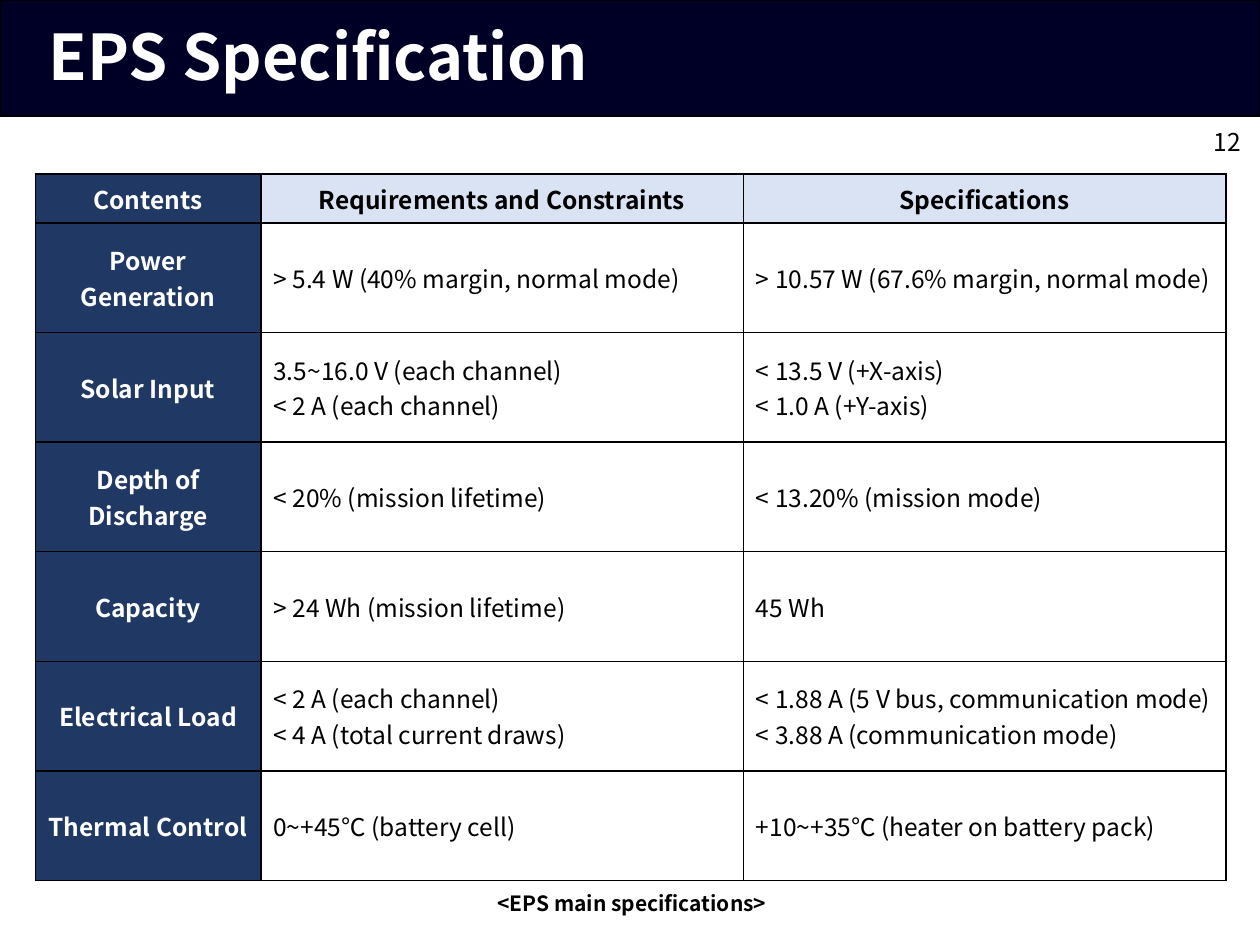
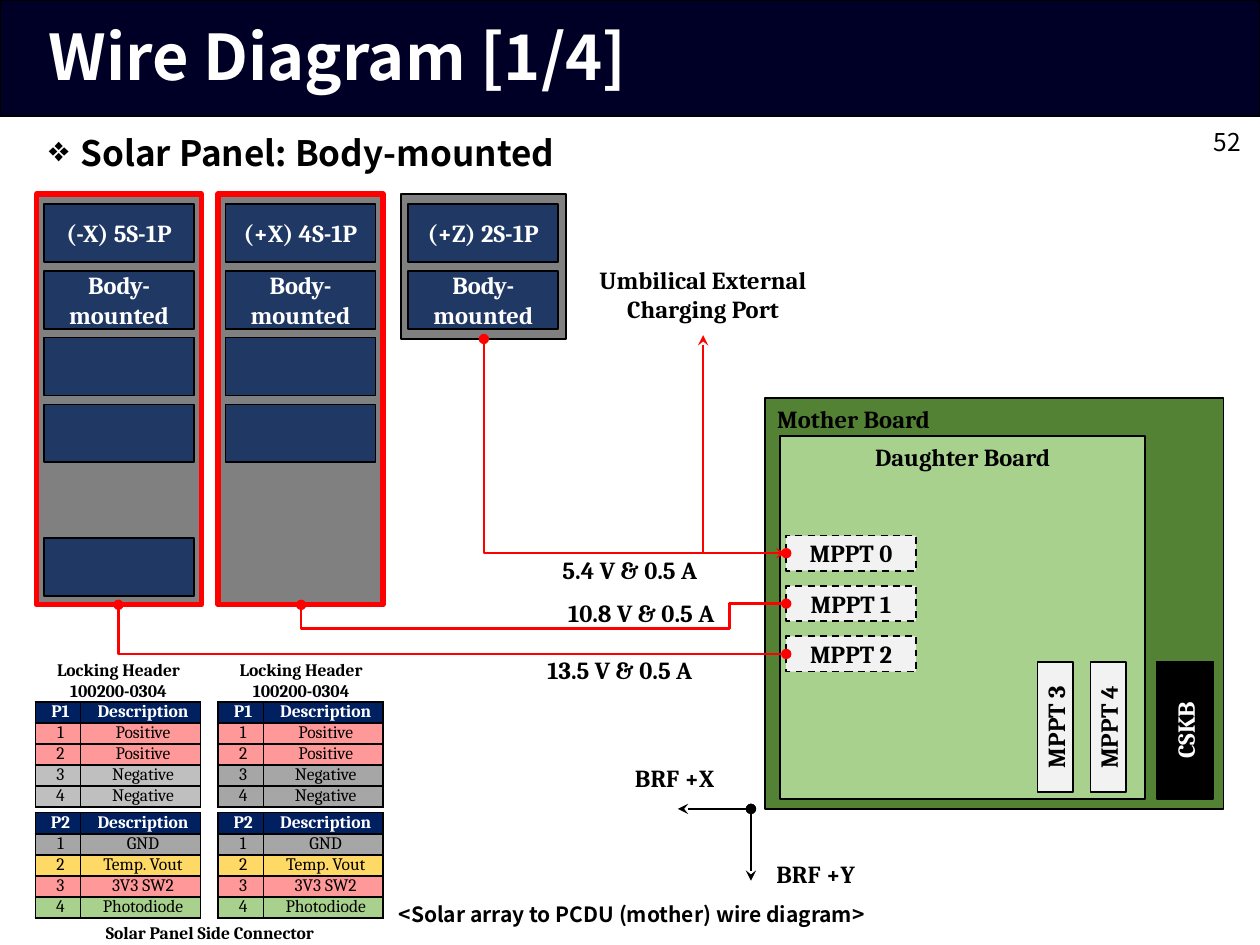
from lxml import etree
from pptx import Presentation
from pptx.dml.color import RGBColor
from pptx.enum.dml import MSO_LINE
from pptx.enum.shapes import MSO_CONNECTOR, MSO_SHAPE
from pptx.enum.text import MSO_ANCHOR, PP_ALIGN
from pptx.oxml.ns import qn
from pptx.util import Inches, Pt

LEFT, CENTER, RIGHT = PP_ALIGN.LEFT, PP_ALIGN.CENTER, PP_ALIGN.RIGHT
TOP, MIDDLE = MSO_ANCHOR.TOP, MSO_ANCHOR.MIDDLE
RECTANGLE = MSO_SHAPE.RECTANGLE
STRAIGHT, ELBOW = MSO_CONNECTOR.STRAIGHT, MSO_CONNECTOR.ELBOW
DASH = MSO_LINE.DASH

SANS, SERIF = "Noto Sans CJK KR", "Cambria"
COLORS = {
    "band": "000026", "black": "000000", "white": "FFFFFF",
    "navy": "203864", "pale blue": "DAE3F3", "pin header": "002060",
    "panel": "808080", "red": "FF0000", "chip": "F2F2F2",
    "mother": "548235", "green": "A9D18E", "pink": "FF9999",
    "yellow": "FFD966", "gray": "A6A6A6", "light gray": "BFBFBF",
}

SPECIFICATIONS = [
    ("Contents", "Requirements and Constraints", "Specifications"),
    ("Power Generation", "> 5.4 W (40% margin, normal mode)",
     "> 10.57 W (67.6% margin, normal mode)"),
    ("Solar Input", "3.5~16.0 V (each channel)\n< 2 A (each channel)",
     "< 13.5 V (+X-axis)\n< 1.0 A (+Y-axis)"),
    ("Depth of\nDischarge", "< 20% (mission lifetime)", "< 13.20% (mission mode)"),
    ("Capacity", "> 24 Wh (mission lifetime)", "45 Wh"),
    ("Electrical Load", "< 2 A (each channel)\n< 4 A (total current draws)",
     "< 1.88 A (5 V bus, communication mode)\n< 3.88 A (communication mode)"),
    ("Thermal Control", "0~+45℃ (battery cell)", "+10~+35℃ (heater on battery pack)"),
]
POWER_PINS = ["Positive", "Positive", "Negative", "Negative"]
SIGNAL_PINS = ["GND", "Temp. Vout", "3V3 SW2", "Photodiode"]
SIGNAL_FILLS = ["gray", "yellow", "pink", "green"]


def rgb(name):
    return RGBColor.from_string(COLORS[name])


def write(frame, text, size, color="black", font=SERIF, bold=True,
          align=CENTER, spacing=None):
    frame.text = text
    for para in frame.paragraphs:
        para.alignment = align
        if spacing:
            para.line_spacing = spacing
        for span in para.runs:
            span.font.size = Pt(size)
            span.font.name = font
            span.font.bold = bold
            span.font.color.rgb = rgb(color)


def add_text(page, box, text, size, anchor=MIDDLE, **style):
    shape = page.shapes.add_textbox(*map(Inches, box))
    frame = shape.text_frame
    frame.word_wrap = True
    frame.vertical_anchor = anchor
    write(frame, text, size, **style)
    return frame


def add_block(page, box, fill, text="", color="black", line="black", width=1,
              anchor=MIDDLE, align=CENTER, rotation=0, dash=None):
    block = page.shapes.add_shape(RECTANGLE, *map(Inches, box))
    block.shadow.inherit = False
    block.fill.solid()
    block.fill.fore_color.rgb = rgb(fill)
    block.line.color.rgb = rgb(line)
    block.line.width = Pt(width)
    block.rotation = rotation
    if dash:
        block.line.dash_style = dash
    if text:
        block.text_frame.word_wrap = True
        block.text_frame.vertical_anchor = anchor
        write(block.text_frame, text, 14, color, align=align)


def add_wire(page, kind, start, end, color, head, tail):
    wire = page.shapes.add_connector(kind, *map(Inches, start + end))
    wire.line.color.rgb = rgb(color)
    wire.line.width = Pt(1.5)
    line = wire.line._get_or_add_ln()
    for tag, style in (("a:headEnd", head), ("a:tailEnd", tail)):
        etree.SubElement(line, qn(tag), type=style)
    properties = wire._element.spPr
    etree.SubElement(properties, qn("a:effectLst"))
    return properties


def add_bent_wire(page, source, target, ends="oval", preset="bentConnector2",
                  adjustments=()):
    """Leave the source to the left and reach the target from below."""
    properties = add_wire(page, ELBOW, target, source, "red", ends, ends)
    properties.find(qn("a:xfrm")).set("rot", "10800000")
    geometry = properties.find(qn("a:prstGeom"))
    geometry.set("prst", preset)
    guides = geometry.find(qn("a:avLst"))
    for number, ratio in enumerate(adjustments, 1):
        etree.SubElement(guides, qn("a:gd"), name=f"adj{number}",
                         fmla=f"val {round(ratio * 100000)}")


def add_grid(page, left, top, widths, heights):
    """Add a plain table whose cells all have a thin black border."""
    frame = page.shapes.add_table(
        len(heights), len(widths), Inches(left), Inches(top),
        Inches(sum(widths)), Inches(sum(heights)))
    table = frame.table
    table.first_row = table.horz_banding = False
    for column, width in zip(table.columns, widths):
        column.width = Inches(width)
    for row, height in zip(table.rows, heights):
        row.height = Inches(height)
    for cell in table.iter_cells():
        properties = cell._tc.get_or_add_tcPr()
        for side in "LRTB":
            border = etree.SubElement(properties, qn(f"a:ln{side}"), w=str(Pt(1)))
            fill = etree.SubElement(border, qn("a:solidFill"))
            etree.SubElement(fill, qn("a:srgbClr"), val=COLORS["black"])
    return table


def paint(cell, fill):
    cell.fill.solid()
    cell.fill.fore_color.rgb = rgb(fill)


def add_page(deck, title, number, caption, caption_top):
    page = deck.slides.add_slide(deck.slide_layouts[6])
    add_block(page, (0, 0, 10, 0.92), "band")
    add_text(page, (0.29, 0.03, 9.45, 0.89), title, 36, color="white",
             font=SANS, align=LEFT, spacing=0.9)
    frame = add_text(page, (8.32, 0.93, 1.68, 0.39), number, 14, font=SANS,
                     bold=False, align=RIGHT)
    frame.margin_right = Inches(0.15)
    add_text(page, (0.29, caption_top, 9.45, 0.3), caption, 12, TOP, font=SANS)
    return page


def add_specification_table(page, left, top):
    table = add_grid(page, left, top, [1.79, 3.83, 3.83], [0.39] + [0.87] * 6)
    for r, row in enumerate(SPECIFICATIONS):
        for c, text in enumerate(row):
            cell = table.cell(r, c)
            heading = r == 0 or c == 0
            paint(cell, "navy" if c == 0 else "pale blue" if r == 0 else "white")
            cell.vertical_anchor = MIDDLE
            write(cell.text_frame, text, 14, "white" if c == 0 else "black", SANS,
                  bold=heading, align=CENTER if heading else LEFT)


def add_heading(page, box, text):
    frame = add_text(page, box, text, 20, TOP, font=SANS, align=LEFT, spacing=0.9)
    properties = frame.paragraphs[0]._p.get_or_add_pPr()
    properties.set("marL", str(Inches(0.25)))
    properties.set("indent", str(-Inches(0.25)))
    etree.SubElement(properties, qn("a:buChar"), char="❖")


def add_pin_table(page, left, top, name, pins, fills):
    table = add_grid(page, left, top, [0.36, 0.95], [0.16] * 5)
    rows = [(name, "Description")] + [(str(n), pin) for n, pin in enumerate(pins, 1)]
    for r, (row, fill) in enumerate(zip(rows, ["pin header"] + fills)):
        for c, text in enumerate(row):
            cell = table.cell(r, c)
            paint(cell, fill)
            cell.margin_left = Inches(0.04)
            cell.margin_right = cell.margin_top = cell.margin_bottom = 0
            write(cell.text_frame, text, 10, "black" if r else "white", bold=r == 0)


def add_connector_pinout(page, left, top, negative):
    add_text(page, (left, top, 1.32, 0.32), "Locking Header\n100200-0304", 10)
    add_pin_table(page, left, top + 0.33, "P1", POWER_PINS,
                  ["pink"] * 2 + [negative] * 2)
    add_pin_table(page, left, top + 1.21, "P2", SIGNAL_PINS, SIGNAL_FILLS)


def add_solar_panel(page, left, top, height, name, slots, line="red", width=3):
    """Draw a panel with a solar cell in each of the given slots."""
    add_block(page, (left, top, 1.31, height), "panel", line=line, width=width)
    labels = {0: name, 1: "Body-mounted"}
    for slot in slots:
        add_block(page, (left + 0.06, top + 0.08 + 0.53 * slot, 1.19, 0.46),
                  "navy", labels.get(slot, ""), "white")


def add_boards(page, left, top):
    add_block(page, (left, top, 3.64, 3.26), "mother", "Mother Board",
              anchor=TOP, align=LEFT)
    add_block(page, (left + 0.12, top + 0.3, 2.9, 2.88), "green", "Daughter Board",
              anchor=TOP)
    for channel in range(3):
        add_block(page, (left + 0.17, top + 1.09 + 0.4 * channel, 1.03, 0.28),
                  "chip", f"MPPT {channel}", dash=DASH)
    for index in range(2):
        add_block(page, (left + 1.79 + 0.42 * index, top + 2.47, 1.03, 0.28),
                  "chip", f"MPPT {index + 3}", rotation=270)
    add_block(page, (left + 2.79, top + 2.41, 1.09, 0.45), "black", "CSKB", "white",
              rotation=270)


def add_wiring(page):
    port_x = 6.24
    add_bent_wire(page, (port_x, 5.19), (0.94, 4.8))
    add_bent_wire(page, (port_x, 4.39), (3.84, 2.69))
    add_bent_wire(page, (port_x, 4.39), (5.58, 2.66), "stealth")
    add_bent_wire(page, (port_x, 4.79), (2.39, 4.8), preset="bentConnector4",
                  adjustments=(0.117, 20))
    for box, text in (
        ((3.77, 5.2, 2.3, 0.23), "13.5 V & 0.5 A"),
        ((3.85, 4.39, 2.3, 0.27), "5.4 V & 0.5 A"),
        ((3.94, 4.74, 2.3, 0.25), "10.8 V & 0.5 A"),
        ((4.65, 2.01, 1.86, 0.65), "Umbilical External Charging Port"),
    ):
        add_text(page, box, text, 14)


def add_axes(page, x, y):
    """Draw the body reference frame with its origin at the given point."""
    for end in ((x - 0.58, y), (x, y + 0.57)):
        add_wire(page, STRAIGHT, (x, y), end, "black", "oval", "stealth")
    add_text(page, (x - 1.12, y - 0.51, 1.03, 0.53), "BRF +X", 14)
    add_text(page, (x, y + 0.25, 1.03, 0.53), "BRF +Y", 14)


def build_specification_page(deck):
    page = add_page(deck, "EPS Specification", "12", "<EPS main specifications>", 7.02)
    add_specification_table(page, 0.28, 1.38)


def build_wire_page(deck):
    page = add_page(deck, "Wire Diagram [1/4]", "52",
                    "<Solar array to PCDU (mother) wire diagram>", 7.11)
    add_heading(page, (0.29, 1.03, 9.45, 0.45), "Solar Panel: Body-mounted")
    for left, negative in ((0.28, "light gray"), (1.73, "gray")):
        add_connector_pinout(page, left, 5.24, negative)
    add_text(page, (0.28, 7.32, 2.77, 0.16), "Solar Panel Side Connector", 10)
    add_solar_panel(page, 0.29, 1.54, 3.26, "(-X) 5S-1P", (0, 1, 2, 3, 5))
    add_solar_panel(page, 1.73, 1.54, 3.26, "(+X) 4S-1P", range(4))
    add_solar_panel(page, 3.18, 1.54, 1.15, "(+Z) 2S-1P", range(2), "black", 1)
    add_boards(page, 6.07, 3.16)
    add_wiring(page)
    add_axes(page, 5.96, 6.42)


def main():
    deck = Presentation()
    deck.slide_width, deck.slide_height = Inches(10), Inches(7.5)
    build_specification_page(deck)
    build_wire_page(deck)
    deck.save("out.pptx")


if __name__ == "__main__":
    main()
